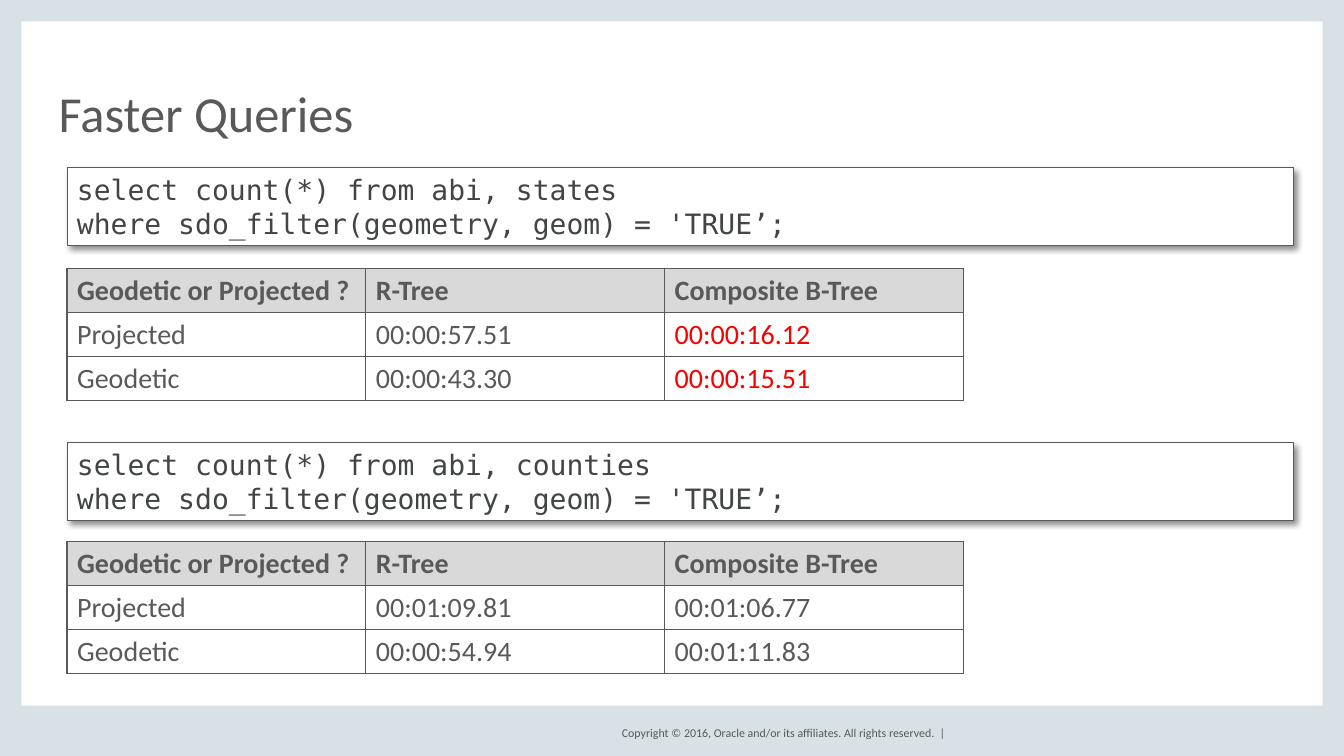
from lxml import etree
from pptx import Presentation
from pptx import util as u
from pptx.dml.color import RGBColor
from pptx.enum import shapes, text
from pptx.oxml import parse_xml
from pptx.oxml.ns import nsdecls

GREY = RGBColor(0x58, 0x59, 0x5B)
CODE = RGBColor(0x42, 0x45, 0x45)
RED = RGBColor(0xF8, 0x00, 0x00)
FRAME = RGBColor(0xD8, 0xE1, 0xE6)
HEADER = RGBColor(0xD9, 0xD9, 0xD9)
WHITE = RGBColor(0xFF, 0xFF, 0xFF)

SHADOW = (f'<a:outerShdw {nsdecls("a")} blurRad="50800" dist="38100" dir="2700000" '
          'algn="tl" rotWithShape="0"><a:srgbClr val="000000">'
          '<a:alpha val="43000"/></a:srgbClr></a:outerShdw>')


def write(tf, txt, size=20, font="Calibri", color=GREY, bold=False,
          align=text.PP_ALIGN.LEFT, spacing=None):
    for i, line in enumerate(txt.split("\n")):
        p = tf.paragraphs[0] if i == 0 else tf.add_paragraph()
        p.alignment = align
        p.line_spacing = spacing
        r = p.add_run()
        r.text = line
        r.font.size = u.Pt(size)
        r.font.name = font
        r.font.bold = bold
        r.font.color.rgb = color


def add_label(x, y, w, h, txt, anchor, wrap=True, **fmt):
    tf = s.shapes.add_textbox(u.Cm(x), u.Cm(y), u.Cm(w), u.Cm(h)).text_frame
    tf.margin_left = tf.margin_right = tf.margin_top = tf.margin_bottom = 0
    tf.word_wrap = wrap
    tf.vertical_anchor = anchor
    write(tf, txt, **fmt)


prs = Presentation()
prs.slide_width, prs.slide_height = u.Cm(33.87), u.Cm(19.05)
s = prs.slides.add_slide(prs.slide_layouts[6])
s.background.fill.solid()
s.background.fill.fore_color.rgb = WHITE

for x, y, w, h in [(0, 0, 0.54, 19.05), (33.33, 0, 0.54, 19.05),
                   (0, 17.78, 33.87, 1.27), (0, 0, 33.87, 0.54)]:
    sp = s.shapes.add_shape(shapes.MSO_SHAPE.RECTANGLE, u.Cm(x), u.Cm(y), u.Cm(w), u.Cm(h))
    sp.shadow.inherit = False
    sp.fill.solid()
    sp.fill.fore_color.rgb = FRAME
    sp.line.fill.background()

add_label(14.94, 18.21, 8.89, 0.51,
          "Copyright © 2016, Oracle and/or its affiliates. All rights reserved.  |",
          text.MSO_ANCHOR.MIDDLE, wrap=False, size=8.5, align=text.PP_ALIGN.RIGHT)
add_label(1.48, 1.12, 30.91, 2.46, "Faster Queries",
          text.MSO_ANCHOR.BOTTOM, size=36, spacing=0.8)

queries = [
    ("states", 4.23, 6.77, RED,
     [("Projected", "00:00:57.51", "00:00:16.12"), ("Geodetic", "00:00:43.30", "00:00:15.51")]),
    ("counties", 11.15, 13.64, GREY,
     [("Projected", "00:01:09.81", "00:01:06.77"), ("Geodetic", "00:00:54.94", "00:01:11.83")]),
]
headings = ("Geodetic or Projected ?", "R-Tree", "Composite B-Tree")

for source, code_top, table_top, btree_color, timings in queries:
    sp = s.shapes.add_shape(shapes.MSO_SHAPE.RECTANGLE,
                            u.Cm(1.69), u.Cm(code_top), u.Cm(30.91), u.Cm(1.97))
    sp.fill.solid()
    sp.fill.fore_color.rgb = WHITE
    sp.line.color.rgb = GREY
    sp.line.width = u.Pt(0.75)
    sp.shadow.inherit = False
    sp.element.spPr.find("{*}effectLst").append(parse_xml(SHADOW))
    tf = sp.text_frame
    tf.word_wrap = True
    tf.vertical_anchor = text.MSO_ANCHOR.TOP
    write(tf, f"select count(*) from abi, {source}\n"
              "where sdo_filter(geometry, geom) = 'TRUE’;",
          font="DejaVu Sans Mono", color=CODE)

    tbl = s.shapes.add_table(3, 3, u.Cm(1.69), u.Cm(table_top), u.Cm(22.59), u.Cm(3.33)).table
    tbl.horz_banding = False
    for r, row in enumerate([headings] + timings):
        for c, value in enumerate(row):
            cell = tbl.cell(r, c)
            tc_pr = cell._tc.get_or_add_tcPr()
            for side in "LRTB":
                tc_pr.append(parse_xml(
                    f'<a:ln{side} {nsdecls("a")} w="12700"><a:solidFill>'
                    f'<a:srgbClr val="{GREY}"/></a:solidFill></a:ln{side}>'))
            cell.fill.solid()
            cell.fill.fore_color.rgb = HEADER if r == 0 else WHITE
            write(cell.text_frame, value, bold=r == 0,
                  color=btree_color if r and c == 2 else GREY)

prs.save("out.pptx")
